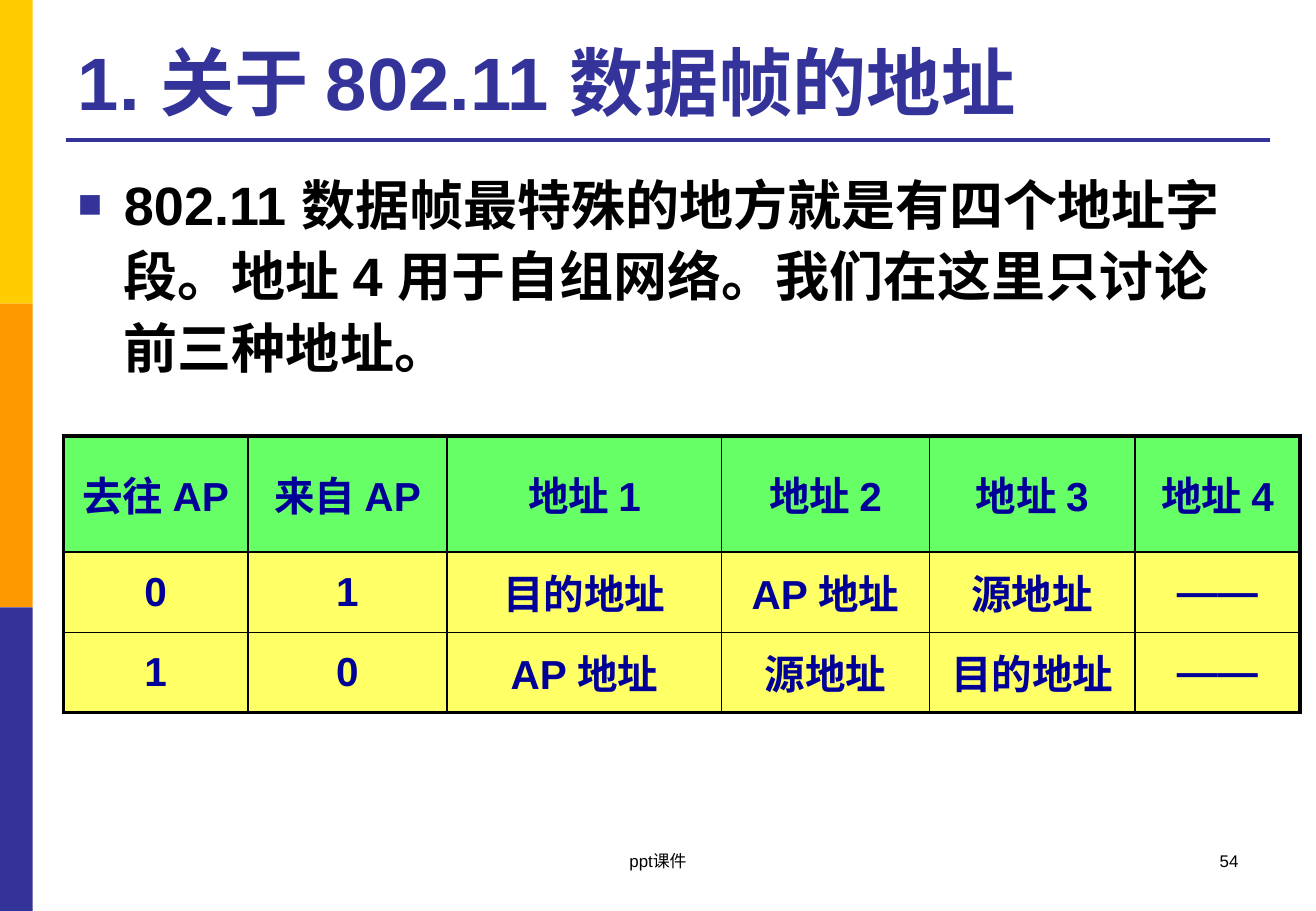
from lxml.etree import SubElement
from pptx import Presentation
from pptx.dml.color import RGBColor
from pptx.enum.shapes import MSO_CONNECTOR, MSO_SHAPE
from pptx.enum.text import MSO_ANCHOR, MSO_AUTO_SIZE, PP_ALIGN
from pptx.oxml.ns import qn
from pptx.util import Inches, Pt

WIDE, HIGH = Inches(10.83), Inches(7.5)
LEFT, SPAN = Inches(0.54), Inches(9.91)
BLACK = RGBColor(0x00, 0x00, 0x00)
GOLD = RGBColor(0xFF, 0xCC, 0x00)
AMBER = RGBColor(0xFF, 0x99, 0x00)
INDIGO = RGBColor(0x33, 0x33, 0x99)
NAVY = RGBColor(0x00, 0x00, 0x99)
GREEN = RGBColor(0x66, 0xFF, 0x66)
YELLOW = RGBColor(0xFF, 0xFF, 0x66)

COLS = [1.52, 1.64, 2.26, 1.71, 1.69, 1.36]
ROW = Inches(0.66)
CELLS = [
    ["去往 AP", "来自 AP", "地址 1", "地址 2", "地址 3", "地址 4"],
    ["0", "1", "目的地址", "AP 地址", "源地址", "——"],
    ["1", "0", "AP 地址", "源地址", "目的地址", "——"],
]


def style(para, size, color, bold=True, align=PP_ALIGN.LEFT):
    para.alignment = align
    para.space_before = Pt(0)
    font = para.font
    font.name, font.size, font.bold = "Arial", Pt(size), bold
    font.color.rgb = color


def add_bars(slide):
    step = HIGH // 3
    for i, color in enumerate([GOLD, AMBER, INDIGO]):
        bar = slide.shapes.add_shape(
            MSO_SHAPE.RECTANGLE, 0, i * step, Inches(0.27), step)
        bar.shadow.inherit = False
        bar.fill.solid()
        bar.fill.fore_color.rgb = color
        bar.line.fill.background()


def add_rule(slide):
    y = Inches(1.15)
    rule = slide.shapes.add_connector(
        MSO_CONNECTOR.STRAIGHT, LEFT, y, LEFT + SPAN, y)
    rule.line.color.rgb = INDIGO
    rule.line.width = Pt(2.25)
    SubElement(rule._element.spPr, qn("a:effectLst"))


def fill_holder(holder, top, high, text, anchor):
    """Place a placeholder, set its text and return its paragraph."""
    holder.left, holder.top = LEFT, Inches(top)
    holder.width, holder.height = SPAN, Inches(high)
    frame = holder.text_frame
    frame.text = text
    frame.auto_size = MSO_AUTO_SIZE.NONE
    frame.vertical_anchor = anchor
    return frame.paragraphs[0]


def add_bullet(para):
    props = para._p.get_or_add_pPr()
    props.set("marL", str(Inches(0.38)))
    props.set("indent", str(-Inches(0.38)))
    tint = SubElement(props, qn("a:buClr"))
    SubElement(tint, qn("a:srgbClr"), val=str(INDIGO))
    SubElement(props, qn("a:buSzPct"), val="75000")
    SubElement(props, qn("a:buFont"), typeface="Arial")
    SubElement(props, qn("a:buChar"), char="■")


def add_edges(cell, outer):
    """Draw the cell's four borders, thick where outer is true."""
    props = cell._tc.get_or_add_tcPr()
    for side in "LRTB":
        width = Pt(2.25 if outer[side] else 1)
        line = SubElement(props, qn(f"a:ln{side}"), w=str(width))
        paint = SubElement(line, qn("a:solidFill"))
        SubElement(paint, qn("a:srgbClr"), val=str(BLACK))


def add_grid(slide):
    rows, cols = len(CELLS), len(COLS)
    grid = slide.shapes.add_table(
        rows, cols, Inches(0.52), Inches(3.59),
        Inches(sum(COLS)), rows * ROW).table
    for col, width in zip(grid.columns, COLS):
        col.width = Inches(width)
    for r, texts in enumerate(CELLS):
        grid.rows[r].height = ROW
        for c, text in enumerate(texts):
            cell = grid.cell(r, c)
            cell.text = text
            cell.vertical_anchor = MSO_ANCHOR.MIDDLE
            cell.margin_left = cell.margin_right = Inches(0.11)
            add_edges(cell, {"L": c == 0, "R": c == cols - 1,
                             "T": r == 0, "B": r == rows - 1})
            cell.fill.solid()
            cell.fill.fore_color.rgb = YELLOW if r else GREEN
            style(cell.text_frame.paragraphs[0], 24, NAVY,
                  align=PP_ALIGN.CENTER)


def add_note(slide, left, width, text, align):
    box = slide.shapes.add_textbox(
        Inches(left), Inches(6.95), Inches(width), Inches(0.5))
    frame = box.text_frame
    frame.word_wrap = True
    frame.text = text
    style(frame.paragraphs[0], 10, BLACK, False, align)


def main():
    deck = Presentation()
    deck.slide_width, deck.slide_height = WIDE, HIGH
    slide = deck.slides.add_slide(deck.slide_layouts[1])
    add_bars(slide)
    add_rule(slide)
    title = fill_holder(slide.shapes.title, 0.21, 0.87,
                        "1. 关于 802.11 数据帧的地址", MSO_ANCHOR.BOTTOM)
    style(title, 44, INDIGO)
    body = fill_holder(
        slide.placeholders[1], 1.31, 5.4,
        "802.11 数据帧最特殊的地方就是有四个地址字段。"
        "地址 4 用于自组网络。我们在这里只讨论前三种地址。", MSO_ANCHOR.TOP)
    body.line_spacing = 1.1
    add_bullet(body)
    style(body, 32, BLACK)
    add_grid(slide)
    add_note(slide, 7.76, 2.53, "54", PP_ALIGN.RIGHT)
    add_note(slide, 3.7, 3.43, "ppt课件", PP_ALIGN.CENTER)
    deck.save("out.pptx")


if __name__ == "__main__":
    main()
